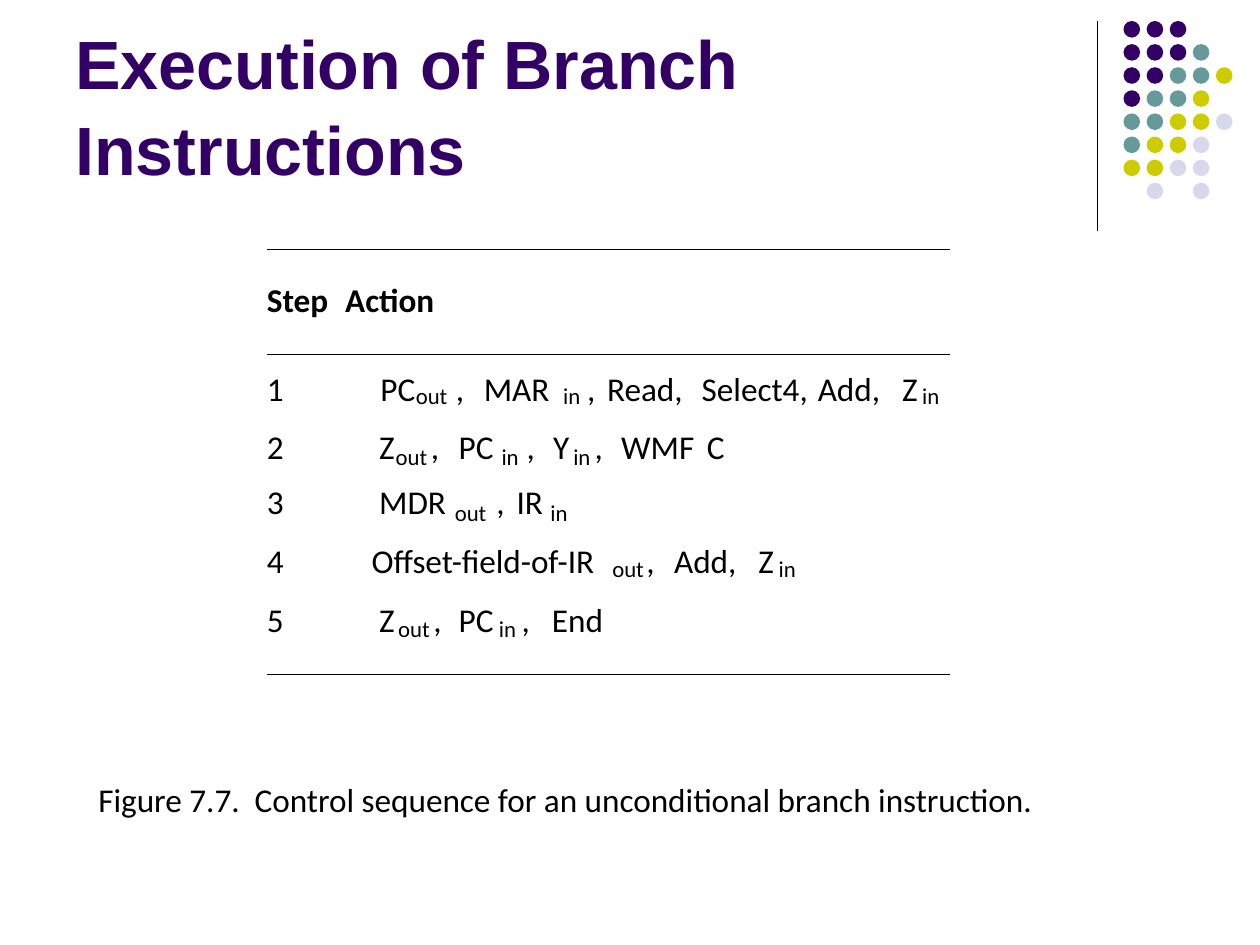
from lxml import etree
from pptx import Presentation
from pptx.dml.color import RGBColor
from pptx.enum import shapes, text
from pptx.oxml import ns
from pptx.util import Pt

COLORS = {"purple": "330066", "teal": "669999", "lime": "CCCC00",
          "lavender": "D8D8EC", "black": "000000"}
DOT_COLORS = {"P": "purple", "T": "teal", "L": "lime", "V": "lavender"}
DOT_ROWS = ["PPP", "PPPT", "PPTTL", "PTTL", "TTLLV", "TLLV", "LLVV", " V V"]
DOT_LEFT, DOT_TOP, DOT_PITCH, DOT_SIZE = 642, 12, 13.2, 9.5

TABLE_LEFT, TABLE_RIGHT = 152.6, 543
RULES = [142.6, 202.3, 385.2]
WIDTHS = {"Step": 42, "Action": 61, "PC": 24, "MAR": 41, "Read,": 50,
          "Select4,": 68, "Add,": 40, "WMF": 45, "C": 12, "MDR": 43, "IR": 18,
          "Offset-field-of-IR": 148, "End": 34, ",": 5, "out": 21, "in": 11.5}
SYMBOL_WIDTH = 11

# Each step: top, drop of the subscripts, and the parts with their left edges
STEPS = [
    (210.2, 8, [("PC", 217.4), ("out", 237.6), (",", 260.6), ("MAR", 276.5),
                ("in", 321.8), (",", 335.5), ("Read,", 347), ("Select4,", 401),
                ("Add,", 467.3), ("Z", 515.5), ("in", 527)]),
    (243.4, 9.4, [("Z", 216.7), ("out", 226.1), (",", 246.2), ("PC", 262.1),
                  ("in", 286.6), (",", 301), ("Y", 316.1), ("in", 327.6),
                  (",", 339.8), ("WMF", 355), ("C", 403.9)]),
    (275, 10, [("MDR", 216.7), ("out", 259.9), (",", 283.7), ("IR", 295.2),
               ("in", 314.6)]),
    (308.9, 8, [("Offset-field-of-IR", 212.4), ("out", 349.9), (",", 369.4),
                ("Add,", 385.2), ("Z", 433.4), ("in", 445)]),
    (342.7, 8.6, [("Z", 216.7), ("out", 227.5), (",", 247.7), ("PC", 262.1),
                  ("in", 285.1), (",", 298.1), ("End", 315.4)]),
]

deck = Presentation()
deck.slide_width, deck.slide_height = Pt(720), Pt(540)
page = deck.slides.add_slide(deck.slide_layouts[6])


def add_line(x1, y1, x2, y2, weight):
    line = page.shapes.add_connector(shapes.MSO_CONNECTOR.STRAIGHT,
                                     Pt(x1), Pt(y1), Pt(x2), Pt(y2))
    line.line.width = Pt(weight)
    line.line.color.rgb = RGBColor.from_string(COLORS["black"])
    etree.SubElement(line._element.spPr, ns.qn("a:effectLst"))


def add_label(words, left, top, width, size=19, bold=False):
    """Add a one-line text box without margins."""
    box = page.shapes.add_textbox(Pt(left), Pt(top), Pt(width),
                                  Pt(23 if size == 19 else 16))
    frame = box.text_frame
    frame.margin_left = frame.margin_right = 0
    frame.margin_top = frame.margin_bottom = 0
    frame.word_wrap = False
    frame.auto_size = text.MSO_AUTO_SIZE.SHAPE_TO_FIT_TEXT
    para = frame.paragraphs[0]
    para.text = words
    para.font.name, para.font.size, para.font.bold = "Calibri", Pt(size), bold
    para.font.color.rgb = RGBColor.from_string(COLORS["black"])


# Corner ornament
add_line(627, 12, 627, 132, 0.75)
dots = page.shapes.add_group_shape()
for row, pattern in enumerate(DOT_ROWS):
    for column, key in enumerate(pattern):
        if key == " ":
            continue
        dot = dots.shapes.add_shape(
            shapes.MSO_SHAPE.OVAL, Pt(DOT_LEFT + column * DOT_PITCH),
            Pt(DOT_TOP + row * DOT_PITCH), Pt(DOT_SIZE), Pt(DOT_SIZE))
        dot.shadow.inherit = False
        dot.fill.solid()
        dot.fill.fore_color.rgb = RGBColor.from_string(COLORS[DOT_COLORS[key]])
        dot.line.fill.background()

# Title
title = page.shapes.add_textbox(Pt(36), Pt(9.4), Pt(594), Pt(102.2))
title.text_frame.word_wrap = True
title.text_frame.vertical_anchor = text.MSO_ANCHOR.BOTTOM
para = title.text_frame.paragraphs[0]
para.text = "Execution of Branch Instructions"
para.line_spacing = 1.05
para.font.name, para.font.size, para.font.bold = "Arial", Pt(39), True
para.font.color.rgb = RGBColor.from_string(COLORS["purple"])

# Control sequence
for y in RULES:
    add_line(TABLE_LEFT, y, TABLE_RIGHT, y, 0.5)
for heading, left in [("Step", TABLE_LEFT), ("Action", 197.3)]:
    add_label(heading, left, 159.8, WIDTHS[heading], bold=True)
for number, (top, drop, parts) in enumerate(STEPS, start=1):
    add_label(str(number), TABLE_LEFT, top, SYMBOL_WIDTH)
    for words, left in parts:
        width = WIDTHS.get(words, SYMBOL_WIDTH)
        if words in ("in", "out"):
            add_label(words, left, top + drop, width, size=13)
        else:
            add_label(words, left, top, width)

add_label("Figure 7.7.  Control sequence for an unconditional branch instruction.",
          56.2, 445, 619)

deck.save("out.pptx")
